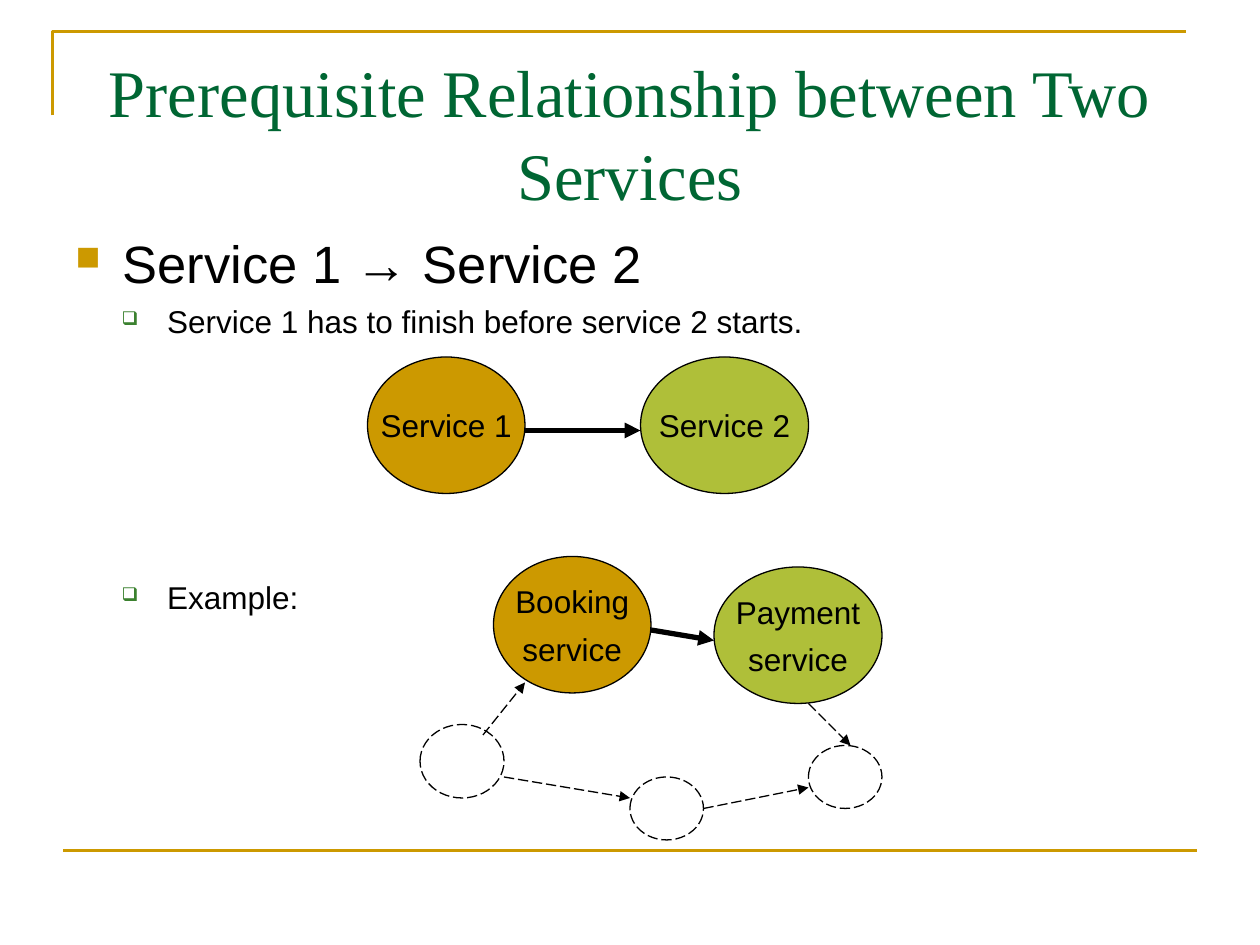
from lxml import etree
from pptx import Presentation
from pptx.dml.color import RGBColor
from pptx.enum.dml import MSO_LINE
from pptx.enum.shapes import MSO_CONNECTOR, MSO_SHAPE
from pptx.enum.text import MSO_ANCHOR, PP_ALIGN
from pptx.oxml.ns import qn
from pptx.util import Pt

GOLD = RGBColor(0xCC, 0x99, 0x00)
LIME = RGBColor(0xAF, 0xBF, 0x39)
GREEN = RGBColor(0x00, 0x66, 0x33)
BLACK = RGBColor(0, 0, 0)
WHITE = RGBColor(255, 255, 255)

prs = Presentation()
prs.slide_width, prs.slide_height = Pt(720), Pt(540)
s = prs.slides.add_slide(prs.slide_layouts[5])


def add_line(x1, y1, x2, y2, color, width, dashed=False, arrow=True):
    line = s.shapes.add_connector(
        MSO_CONNECTOR.STRAIGHT, Pt(x1), Pt(y1), Pt(x2), Pt(y2))
    line.line.color.rgb = color
    line.line.width = Pt(width)
    if dashed:
        line.line.dash_style = MSO_LINE.LONG_DASH
    spPr = line._element.spPr
    if arrow:
        etree.SubElement(spPr.find(qn("a:ln")), qn("a:tailEnd"), type="triangle")
    etree.SubElement(spPr, qn("a:effectLst"))


def add_ellipse(x, y, w, h, fill, text="", dashed=False):
    sp = s.shapes.add_shape(MSO_SHAPE.OVAL, Pt(x), Pt(y), Pt(w), Pt(h))
    sp.shadow.inherit = False
    sp.fill.solid()
    sp.fill.fore_color.rgb = fill
    sp.line.color.rgb = BLACK
    sp.line.width = Pt(0.75)
    if dashed:
        sp.line.dash_style = MSO_LINE.LONG_DASH
    if text:
        tf = sp.text_frame
        tf.text = text
        tf.word_wrap = False
        tf.vertical_anchor = MSO_ANCHOR.MIDDLE
        for i, p in enumerate(tf.paragraphs):
            p.alignment = PP_ALIGN.CENTER
            p.space_before = Pt(5.5 if i else 0)
            for r in p.runs:
                r.font.size, r.font.name = Pt(18), "Arial"
                r.font.color.rgb = BLACK


fb = s.shapes.build_freeform(Pt(30), Pt(66))
fb.add_line_segments([(Pt(30), Pt(18)), (Pt(678), Pt(18))], close=False)
corner = fb.convert_to_shape()
corner.shadow.inherit = False
corner.fill.background()
corner.line.color.rgb = GOLD
corner.line.width = Pt(1.5)
add_line(36, 486, 684, 486, GOLD, 1.5, arrow=False)

title = s.shapes.title
title.left, title.top, title.width, title.height = Pt(36), Pt(21.6), Pt(648), Pt(90)
tf = title.text_frame
tf.text = "Prerequisite Relationship between Two Services"
tf.word_wrap = True
tf.vertical_anchor = MSO_ANCHOR.TOP
tf.margin_top = Pt(5)
p = tf.paragraphs[0]
p.alignment = PP_ALIGN.CENTER
p.line_spacing = 1.05
r = p.runs[0]
r.font.size, r.font.name = Pt(38), "Times New Roman"
r.font.color.rgb = GREEN

BULLETS = [
    ("Service 1 → Service 2", 0, 30, 0, 27, -27, "CC9900", 65, "■"),
    ("Service 1 has to finish before service 2 starts.", 1, 18, 4.5, 52.5, -26, "3B812F", 60, "❑"),
    ("Example:", 1, 18, 136, 52.5, -26, "3B812F", 60, "❑"),
]
body = s.shapes.add_textbox(Pt(36), Pt(126), Pt(648), Pt(356.4))
body.fill.solid()
body.fill.fore_color.rgb = WHITE
tf = body.text_frame
tf.word_wrap = True
tf.margin_top = Pt(6)
tf.text = "\n".join(b[0] for b in BULLETS)
for p, (text, level, size, before, margin, indent, color, percent, char) in zip(tf.paragraphs, BULLETS):
    p.level = level
    p.space_before = Pt(before)
    pPr = p._p.get_or_add_pPr()
    pPr.set("marL", str(Pt(margin)))
    pPr.set("indent", str(Pt(indent)))
    etree.SubElement(etree.SubElement(pPr, qn("a:buClr")), qn("a:srgbClr"), val=color)
    etree.SubElement(pPr, qn("a:buSzPct"), val=str(percent * 1000))
    etree.SubElement(pPr, qn("a:buChar"), char=char)
    r = p.runs[0]
    r.font.size, r.font.name = Pt(size), "Arial"
    r.font.color.rgb = BLACK

for x, y, w, fill, text in [
    (210, 204, 90, GOLD, "Service 1"),
    (366, 204, 96, LIME, "Service 2"),
    (282, 318, 90, GOLD, "Booking\nservice"),
    (408, 324, 96, LIME, "Payment\nservice"),
]:
    add_ellipse(x, y, w, 78, fill, text)

for x, y, w, h in [(240, 414, 48, 42), (360, 444, 42, 36), (462, 426, 42, 36)]:
    add_ellipse(x, y, w, h, WHITE, dashed=True)

for ends in [(300, 246, 366, 246), (372, 360, 408, 366)]:
    add_line(*ends, BLACK, 3)

for ends in [
    (276, 420, 300, 390),
    (288, 444, 360, 456),
    (462, 402, 486, 426),
    (402, 462, 462, 450),
]:
    add_line(*ends, BLACK, 0.75, dashed=True)

prs.save("out.pptx")
